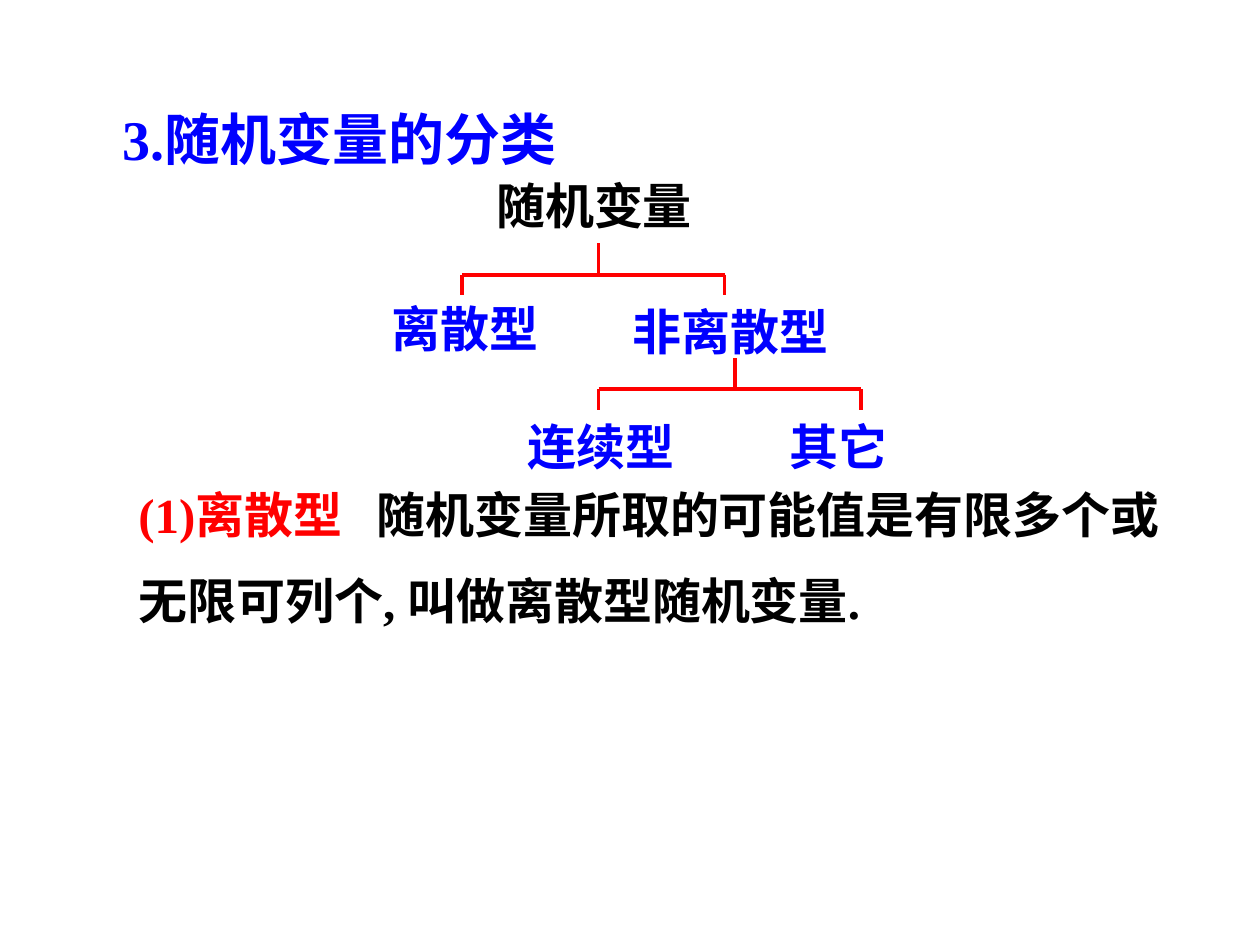
from dataclasses import dataclass

from lxml import etree
from pptx import Presentation
from pptx.dml.color import RGBColor
from pptx.enum import shapes, text
from pptx.oxml import ns
from pptx.util import Inches, Pt


@dataclass(frozen=True)
class Theme:
    blue = RGBColor(0, 0, 255)
    red = RGBColor(255, 0, 0)
    black = RGBColor(0, 0, 0)
    latin = "Times New Roman"
    asian = "Noto Sans CJK SC"
    head = Pt(32)
    body = Pt(28)
    line = Pt(2.25)


THEME = Theme()


def style(par, size, color):
    """Set one bold face, Latin and East Asian, on a paragraph."""
    font = par.font
    font.size, font.bold, font.name = size, True, THEME.latin
    font.color.rgb = color
    props = par._p.pPr.find(ns.qn("a:defRPr"))
    face = etree.SubElement(props, ns.qn("a:ea"))
    face.set("typeface", THEME.asian)


def place(shape, box):
    shape.left, shape.top, shape.width, shape.height = map(Inches, box)


def fit(frame):
    """Keep the text on one line and let its box grow."""
    frame.word_wrap = False
    frame.auto_size = text.MSO_AUTO_SIZE.SHAPE_TO_FIT_TEXT


def add_title(slide, box, words):
    title = slide.shapes.title
    place(title, box)
    frame = title.text_frame
    frame.text = words
    fit(frame)
    frame.vertical_anchor = text.MSO_ANCHOR.TOP
    par = frame.paragraphs[0]
    par.alignment = text.PP_ALIGN.LEFT
    style(par, THEME.head, THEME.blue)


def add_label(slide, box, words, color):
    frame = slide.shapes.add_textbox(*map(Inches, box)).text_frame
    frame.text = words
    fit(frame)
    style(frame.paragraphs[0], THEME.body, color)


def add_fork(slide, box, stem):
    """Draw a stem down to a bar with a drop at each end."""
    left, top, width, height = box
    right, low, bar = left + width, top + height, top + 0.25
    group = slide.shapes.add_group_shape()
    for ends in ((left, bar, right, bar), (left, bar, left, low),
                 (right, bar, right, low), (stem, bar, stem, top)):
        line = group.shapes.add_connector(
            shapes.MSO_CONNECTOR.STRAIGHT, *map(Inches, ends))
        line.line.color.rgb = THEME.red
        line.line.width = THEME.line
        etree.SubElement(line._element.spPr, ns.qn("a:effectLst"))


def add_tree(slide, box):
    """Place the class tree; labels and forks are offsets in the box."""
    left, top = box[:2]
    for x, y, width, words, color in (
            (0.83, 0, 1.77, "随机变量", THEME.black),
            (0, 0.98, 1.38, "离散型", THEME.blue),
            (1.91, 1, 1.77, "非离散型", THEME.blue),
            (1.08, 1.92, 1.38, "连续型", THEME.blue),
            (3.16, 1.92, 0.99, "其它", THEME.blue)):
        add_label(slide, (left + x, top + y, width, 0.57), words, color)
    for x, y in ((0.66, 0.59), (1.74, 1.5)):
        add_fork(slide, (left + x, top + y, 2.08, 0.41), left + x + 1.08)


def add_tab(par, stop):
    tabs = etree.SubElement(par._p.get_or_add_pPr(), ns.qn("a:tabLst"))
    tab = etree.SubElement(tabs, ns.qn("a:tab"))
    tab.set("pos", str(Inches(stop)))
    tab.set("algn", "l")


def add_body(slide, box):
    frame = slide.shapes.add_textbox(*map(Inches, box)).text_frame
    frame.word_wrap = True
    first, second = frame.paragraphs[0], frame.add_paragraph()
    add_tab(first, 1.89)
    term = first.add_run()
    term.text = "(1)离散型"
    term.font.color.rgb = THEME.red
    first.add_run().text = "\t随机变量所取的可能值是有限多个或"
    second.add_run().text = "无限可列个, 叫做离散型随机变量."
    second.space_before = Pt(17.5)
    for par in frame.paragraphs:
        par.line_spacing = 0.95
        style(par, THEME.body, THEME.black)


def main():
    deck = Presentation()
    deck.slide_width, deck.slide_height = Inches(10), Inches(7.5)
    slide = deck.slides.add_slide(deck.slide_layouts[5])
    add_title(slide, (0.87, 0.78, 3.8, 0.64), "3.随机变量的分类")
    add_tree(slide, (3.01, 1.34, 4.15, 2.49))
    add_body(slide, (1, 3.83, 8.83, 1.23))
    deck.save("out.pptx")


if __name__ == "__main__":
    main()
